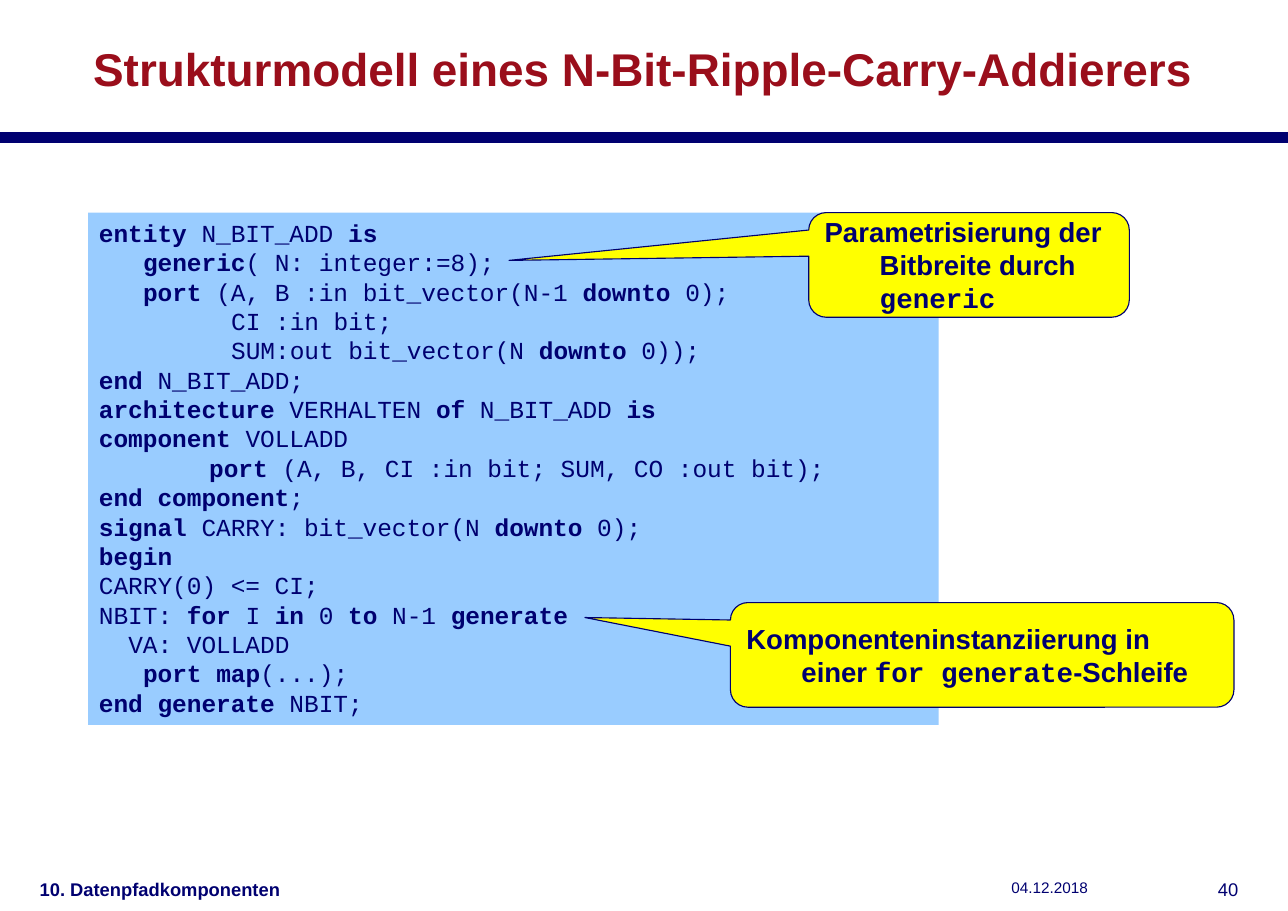
from dataclasses import dataclass

from lxml import etree
from pptx import Presentation
from pptx.dml.color import RGBColor
from pptx.enum import shapes, text
from pptx.oxml import ns
from pptx.util import Pt


@dataclass(frozen=True)
class Theme:
    navy: RGBColor = RGBColor(0x00, 0x00, 0x70)
    red: RGBColor = RGBColor(0x9A, 0x0E, 0x1B)
    blue: RGBColor = RGBColor(0x99, 0xCC, 0xFF)
    yellow: RGBColor = RGBColor(0xFF, 0xFF, 0x00)
    sans: str = "Arial"
    mono: str = "Courier New"
    title_size: float = 30
    callout_size: float = 18
    code_size: float = 16
    footer_size: float = 12
    date_size: float = 10


@dataclass(frozen=True)
class Area:
    left: float
    top: float
    width: float
    height: float

    def lengths(self) -> tuple:
        return Pt(self.left), Pt(self.top), Pt(self.width), Pt(self.height)


@dataclass(frozen=True)
class CodeLine:
    """Keywords stand between asterisks; the indent counts characters."""
    words: str
    indent: float = 0


@dataclass(frozen=True)
class Callout:
    """Code words stand between asterisks; the tip is relative to the centre."""
    area: Area
    tip: tuple
    words: str


@dataclass(frozen=True)
class FooterItem:
    area: Area
    words: str
    size: float
    bold: bool = False
    align: text.PP_ALIGN = text.PP_ALIGN.LEFT


THEME = Theme()
PAGE_WIDTH, PAGE_HEIGHT = 841.68, 595.44
RULE_TOP, RULE_WEIGHT = 90, 7.09
CHARACTER_WIDTH = 0.6 * THEME.code_size
TAB = 72 / CHARACTER_WIDTH
HANGING = 36
TITLE = "Strukturmodell eines N-Bit-Ripple-Carry-Addierers"
TITLE_AREA = Area(18, 20.16, 804.24, 48.96)
CODE_AREA = Area(57.6, 138.96, 555.84, 334.8)

CODE = [
    CodeLine("*entity* N_BIT_ADD *is*"),
    CodeLine("*generic*( N: integer:=8);", 3),
    CodeLine("*port* (A, B :in bit_vector(N-1 *downto* 0);", 3),
    CodeLine("CI :in bit;", 9),
    CodeLine("SUM:out bit_vector(N *downto* 0));", 9),
    CodeLine("*end* N_BIT_ADD;"),
    CodeLine("*architecture* VERHALTEN *of* N_BIT_ADD *is*"),
    CodeLine("*component* VOLLADD"),
    CodeLine("*port* (A, B, CI :in bit; SUM, CO :out bit);", TAB),
    CodeLine("*end component*;"),
    CodeLine("*signal* CARRY: bit_vector(N *downto* 0);"),
    CodeLine("*begin*"),
    CodeLine("CARRY(0) <= CI;"),
    CodeLine("NBIT: *for* I *in* 0 *to* N-1 *generate*"),
    CodeLine("VA: VOLLADD", 2),
    CodeLine("*port map*(...);", 3),
    CodeLine("*end generate* NBIT;"),
]
CALLOUTS = [
    Callout(Area(528.48, 138.96, 209.52, 68.4), (-1.435, -0.043),
            "Parametrisierung der Bitbreite durch *generic*"),
    Callout(Area(477.36, 393.84, 329.04, 68.4), (-0.789, -0.357),
            "Komponenteninstanziierung in einer *for generate*-Schleife"),
]
FOOTER = [
    FooterItem(Area(653.04, 570.24, 118.8, 25.2), "04.12.2018", THEME.date_size),
    FooterItem(Area(18, 570.24, 238.32, 25.2), "10. Datenpfadkomponenten",
               THEME.footer_size, bold=True),
    FooterItem(Area(783.36, 570.24, 33.84, 25.2), "40", THEME.footer_size,
               align=text.PP_ALIGN.RIGHT),
]


def add_span(para, words: str, font: str, size: float, bold: bool,
             colour: RGBColor = THEME.navy) -> None:
    span = para.add_run()
    span.text = words
    span.font.name = font
    span.font.size = Pt(size)
    span.font.bold = bold
    span.font.color.rgb = colour


def split_marked(words: str) -> list:
    """Return pairs of text and whether it stood between asterisks."""
    return [(part, index % 2 == 1)
            for index, part in enumerate(words.split("*")) if part]


def set_indent(para, left: float, first: float = 0) -> None:
    properties = para._p.get_or_add_pPr()
    properties.set("marL", str(int(Pt(left))))
    properties.set("indent", str(int(Pt(first))))


def set_frame(box, anchor: text.MSO_ANCHOR, side: float = 7.2):
    """Prepare the text frame and return its first paragraph."""
    frame = box.text_frame
    frame.word_wrap = True
    frame.auto_size = text.MSO_AUTO_SIZE.NONE
    frame.vertical_anchor = anchor
    frame.margin_left = frame.margin_right = Pt(side)
    frame.margin_top = frame.margin_bottom = Pt(3.6)
    return frame.paragraphs[0]


def add_filled(page, kind: shapes.MSO_SHAPE, area: Area, fill: RGBColor):
    box = page.shapes.add_shape(kind, *area.lengths())
    box.shadow.inherit = False
    box.fill.solid()
    box.fill.fore_color.rgb = fill
    return box


def add_title(page) -> None:
    box = page.shapes.title
    box.left, box.top, box.width, box.height = TITLE_AREA.lengths()
    para = set_frame(box, text.MSO_ANCHOR.MIDDLE, 7.92)
    para.alignment = text.PP_ALIGN.CENTER
    add_span(para, TITLE, THEME.sans, THEME.title_size, True, THEME.red)


def add_rule(page) -> None:
    rule = page.shapes.add_connector(shapes.MSO_CONNECTOR.STRAIGHT, Pt(0),
                                     Pt(RULE_TOP), Pt(PAGE_WIDTH), Pt(RULE_TOP))
    rule.line.color.rgb = THEME.navy
    rule.line.width = Pt(RULE_WEIGHT)
    etree.SubElement(rule._element.spPr, ns.qn("a:effectLst"))


def add_code(page) -> None:
    box = add_filled(page, shapes.MSO_SHAPE.RECTANGLE, CODE_AREA, THEME.blue)
    box.line.fill.background()
    para = set_frame(box, text.MSO_ANCHOR.TOP)
    for number, line in enumerate(CODE):
        if number:
            para = box.text_frame.add_paragraph()
        para.alignment = text.PP_ALIGN.LEFT
        set_indent(para, line.indent * CHARACTER_WIDTH)
        for words, keyword in split_marked(line.words):
            add_span(para, words, THEME.mono, THEME.code_size, keyword)


def add_callout(page, callout: Callout) -> None:
    box = add_filled(page, shapes.MSO_SHAPE.ROUNDED_RECTANGULAR_CALLOUT,
                     callout.area, THEME.yellow)
    box.adjustments[0], box.adjustments[1] = callout.tip
    box.line.color.rgb = THEME.navy
    box.line.width = Pt(0.75)
    para = set_frame(box, text.MSO_ANCHOR.MIDDLE)
    para.alignment = text.PP_ALIGN.LEFT
    set_indent(para, HANGING, -HANGING)
    for words, code in split_marked(callout.words):
        font = THEME.mono if code else THEME.sans
        add_span(para, words, font, THEME.callout_size, True)


def add_footer_item(page, item: FooterItem) -> None:
    box = page.shapes.add_textbox(*item.area.lengths())
    para = set_frame(box, text.MSO_ANCHOR.TOP, 7.92)
    para.alignment = item.align
    add_span(para, item.words, THEME.sans, item.size, item.bold)


def main() -> None:
    deck = Presentation()
    deck.slide_width, deck.slide_height = Pt(PAGE_WIDTH), Pt(PAGE_HEIGHT)
    page = deck.slides.add_slide(deck.slide_layouts.get_by_name("Title Only"))
    add_rule(page)
    for item in FOOTER:
        add_footer_item(page, item)
    add_title(page)
    add_code(page)
    for callout in CALLOUTS:
        add_callout(page, callout)
    deck.save("out.pptx")


if __name__ == "__main__":
    main()
